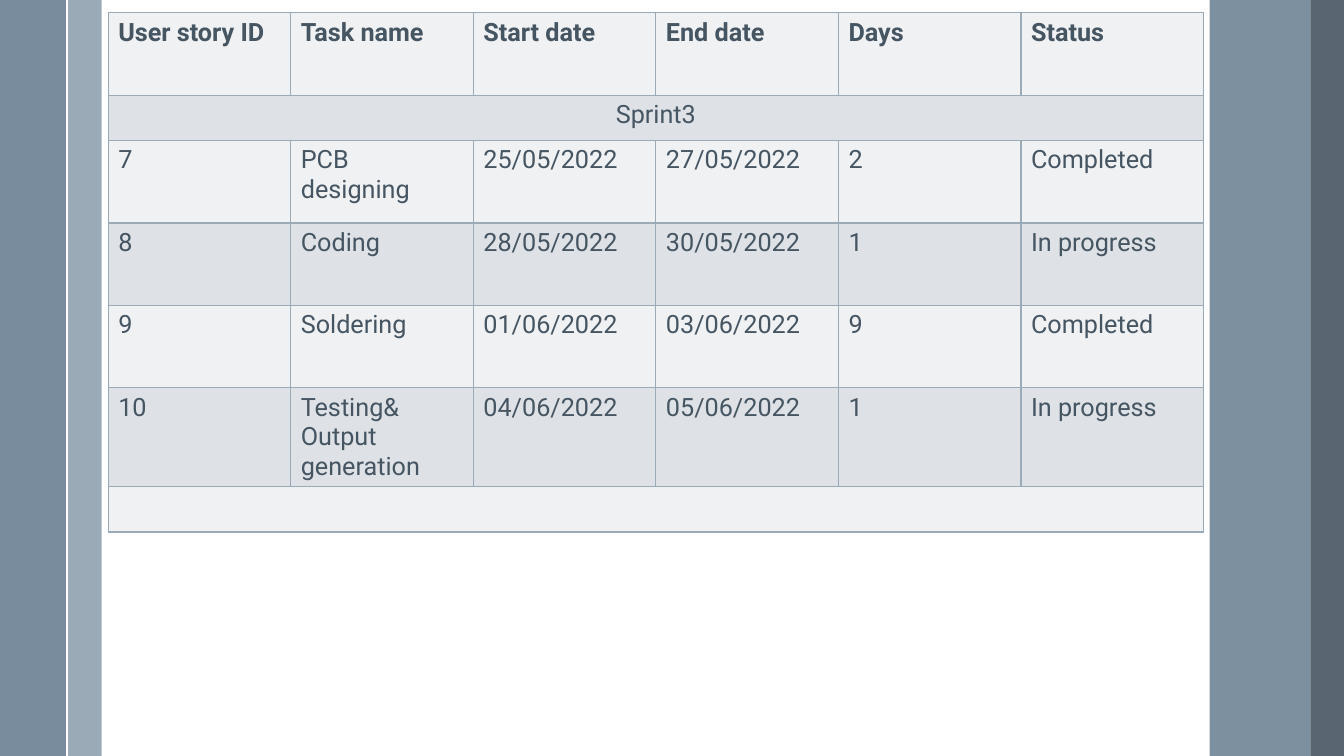
from collections import namedtuple
from dataclasses import dataclass

from lxml.etree import SubElement
from pptx import Presentation
from pptx.dml.color import RGBColor
from pptx.enum.shapes import MSO_CONNECTOR, MSO_SHAPE
from pptx.enum.text import PP_ALIGN
from pptx.oxml.ns import qn
from pptx.util import Inches, Pt

Box = namedtuple("Box", "left top width height")


@dataclass(frozen=True)
class Theme:
    """Colours, type and line sizes of the slide."""
    pale: str = "9BAAB7"
    steel: str = "6A8093"
    slate: str = "475562"
    white: str = "FFFFFF"
    ink: str = "465562"
    light: str = "EFF1F3"
    dark: str = "DEE2E6"
    font: str = "Roboto"
    size: float = 18
    rule: float = 1.5
    edge: float = 1


THEME = Theme()
WIDE, HIGH = Inches(13.33), Inches(7.5)
COLS, ROWS = 40, 100  # slide grid
TALL, SHORT = 10.9, 6  # table rows, in grid rows

HEAD = ["User story ID", "Task name", "Start date", "End date", "Days", "Status"]
TASKS = [
    ["7", "PCB designing", "25/05/2022", "27/05/2022", "2", "Completed"],
    ["8", "Coding", "28/05/2022", "30/05/2022", "1", "In progress"],
    ["9", "Soldering", "01/06/2022", "03/06/2022", "9", "Completed"],
    ["10", "Testing&\nOutput generation", "04/06/2022", "05/06/2022", "1",
     "In progress"],
]
LINES = [HEAD, ["Sprint3"], *TASKS, [""]]


def grid(box, col, row, cols, rows):
    """Return the box that covers part of the grid laid over a box."""
    wide, high = box.width / COLS, box.height / ROWS
    return Box(round(box.left + col * wide), round(box.top + row * high),
               round(cols * wide), round(rows * high))


def add_band(slide, box, tint, alpha=100):
    """Fill a box with a plain band, see-through below 100 percent."""
    band = slide.shapes.add_shape(MSO_SHAPE.RECTANGLE, *box)
    band.shadow.inherit = False
    band.line.fill.background()
    band.fill.solid()
    band.fill.fore_color.rgb = RGBColor.from_string(tint)
    if alpha < 100:
        mark = band.fill._xPr.find(qn("a:solidFill"))[0]
        SubElement(mark, qn("a:alpha"), val=str(alpha * 1000))


def add_rule(slide, box):
    """Draw a white line down the left edge of a box."""
    rule = slide.shapes.add_connector(MSO_CONNECTOR.STRAIGHT, box.left, box.top,
                                      box.left, box.top + box.height)
    rule.line.color.rgb = RGBColor.from_string(THEME.white)
    rule.line.width = Pt(THEME.rule)
    SubElement(rule._element.spPr, qn("a:effectLst"))


def add_frame(slide, box):
    """Place the bands at both sides of a box."""
    add_band(slide, grid(box, 2.03, 0, 1, ROWS), THEME.pale)
    add_band(slide, grid(box, 0, 0, 2, ROWS), THEME.steel, 90)
    add_rule(slide, grid(box, 2, 0, 1, ROWS))
    add_band(slide, grid(box, 36, 0, 3, ROWS), THEME.steel, 87)
    add_band(slide, grid(box, 39, 0, 1, ROWS), THEME.slate, 90)


def style_cell(cell, tint):
    """Give a cell its borders and fill."""
    props = cell._tc.get_or_add_tcPr()
    for side in ("a:lnL", "a:lnR", "a:lnT", "a:lnB"):
        edge = SubElement(props, qn(side), w=str(Pt(THEME.edge)))
        fill = SubElement(edge, qn("a:solidFill"))
        SubElement(fill, qn("a:srgbClr"), val=THEME.pale)
    cell.fill.solid()
    cell.fill.fore_color.rgb = RGBColor.from_string(tint)


def write_cell(cell, text, bold, align):
    """Write text in a cell, one paragraph for each line."""
    frame = cell.text_frame
    for at, line in enumerate(text.split("\n")):
        para = frame.add_paragraph() if at else frame.paragraphs[0]
        para.alignment = align
        run = para.add_run()
        run.text = line
        run.font.name = THEME.font
        run.font.size = Pt(THEME.size)
        run.font.bold = bold
        run.font.color.rgb = RGBColor.from_string(THEME.ink)


def add_plan(slide, box):
    """Fill a box with the sprint table; a lone text spans its row."""
    count = len(HEAD)
    table = slide.shapes.add_table(len(LINES), count, *box).table
    table.first_row = table.horz_banding = False
    unit = box.height / sum(SHORT if len(line) == 1 else TALL for line in LINES)
    for col in table.columns:
        col.width = round(box.width / count)
    for at, line in enumerate(LINES):
        span = len(line) == 1
        table.rows[at].height = round(unit * (SHORT if span else TALL))
        for spot in range(count):
            style_cell(table.cell(at, spot), THEME.dark if at % 2 else THEME.light)
        if span:
            table.cell(at, 0).merge(table.cell(at, count - 1))
        for spot, text in enumerate(line):
            if text:
                write_cell(table.cell(at, spot), text, at == 0,
                           PP_ALIGN.CENTER if span else PP_ALIGN.LEFT)


def add_sprint(deck, box):
    """Add the sprint slide: side bands and the task table."""
    slide = deck.slides.add_slide(deck.slide_layouts[6])
    add_frame(slide, box)
    high = sum(SHORT if len(line) == 1 else TALL for line in LINES)
    add_plan(slide, grid(box, 3.22, 1.7, 32.6, high))


deck = Presentation()
deck.slide_width, deck.slide_height = WIDE, HIGH
add_sprint(deck, Box(0, 0, WIDE, HIGH))
deck.save("out.pptx")
